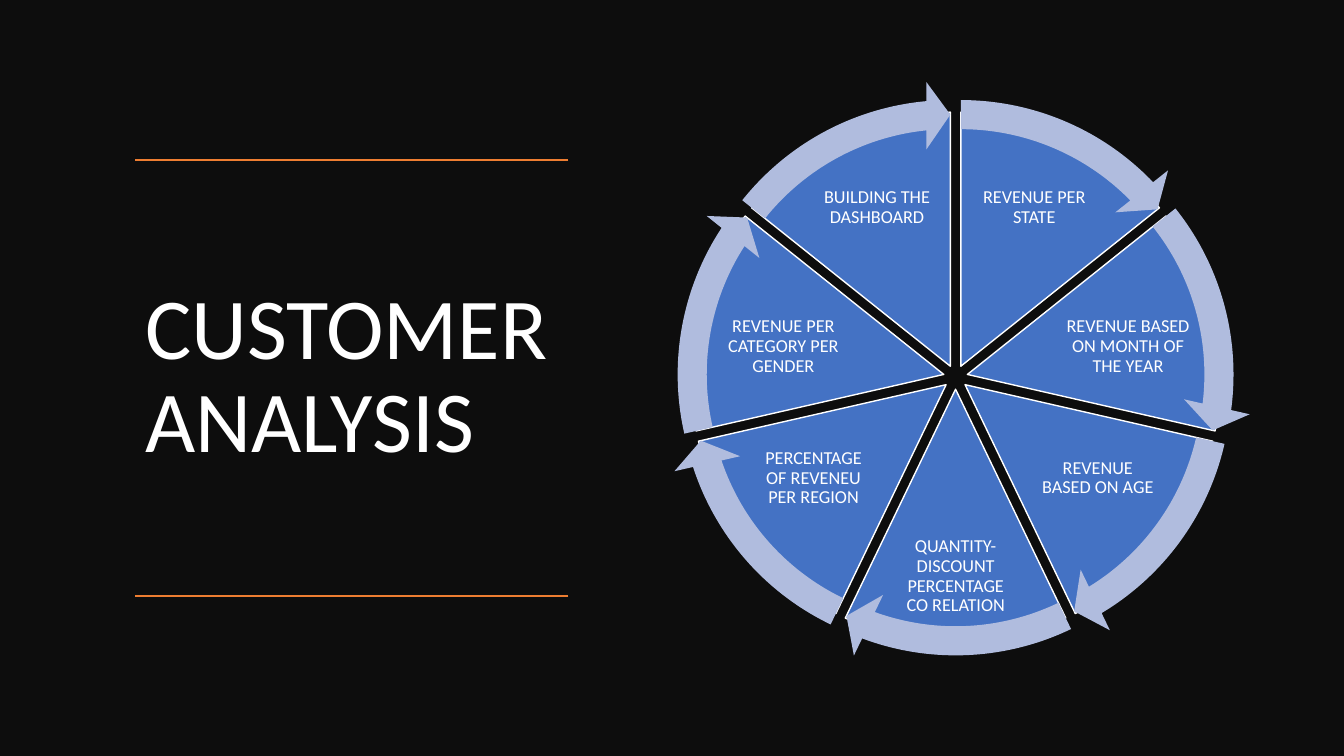
"""Build the customer analysis slide with its seven-part cycle wheel."""
from dataclasses import dataclass
from math import cos, radians, sin

from lxml import etree
from pptx import Presentation
from pptx.dml.color import RGBColor
from pptx.enum.shapes import MSO_CONNECTOR, MSO_SHAPE
from pptx.enum.text import MSO_ANCHOR, MSO_AUTO_SIZE, PP_ALIGN
from pptx.oxml.ns import qn
from pptx.util import Pt

RECTANGLE, PIE, ARROW = MSO_SHAPE.RECTANGLE, MSO_SHAPE.PIE, MSO_SHAPE.CIRCULAR_ARROW
STRAIGHT = MSO_CONNECTOR.STRAIGHT
MIDDLE, NO_FIT = MSO_ANCHOR.MIDDLE, MSO_AUTO_SIZE.NONE
LEFT, CENTER = PP_ALIGN.LEFT, PP_ALIGN.CENTER

TITLE = "CUSTOMER ANALYSIS"
STEPS = [
    "REVENUE PER STATE",
    "REVENUE BASED ON MONTH OF THE YEAR",
    "REVENUE BASED ON AGE",
    "QUANTITY-DISCOUNT PERCENTAGE CO RELATION",
    "PERCENTAGE OF REVENEU PER REGION",
    "REVENUE PER CATEGORY PER GENDER",
    "BUILDING THE DASHBOARD",
]
LABEL_ROWS = [
    {"reach": 56.16, "middle": 148.32, "width": 86.4, "height": 69.12},
    {"reach": 123.12, "middle": 247.68, "width": 99.36, "height": 60.48},
    {"reach": 101.52, "middle": 341.64, "width": 86.4, "height": 66.96},
    {"reach": 0, "middle": 411.84, "width": 84.24, "height": 60.48},
]


@dataclass(frozen=True)
class Theme:
    """Colours and type of the slide."""
    backdrop: str = "0D0D0D"
    text: str = "FFFFFF"
    rule: str = "ED7D31"
    slice: str = "4472C4"
    edge: str = "FFFFFF"
    arrow: str = "B0BCDE"
    font: str = "Calibri"
    title_size: int = 62
    label_size: int = 13


THEME = Theme()
SLIDE_WIDTH, SLIDE_HEIGHT = 960, 540
TITLE_LEFT, TITLE_WIDTH = 96.5, 309.5
TITLE_TOP, TITLE_BOTTOM = 114.2, 425.8
HUB_X, HUB_Y, SPREAD = 682.6, 269.4, 8.64
PIE_SIZE, ARROW_SIZE = 362.9, 407.5
FULL_TURN, TOP_ANGLE = 360, 270
SWEEP = FULL_TURN / len(STEPS)
ANGLE_UNIT = 0.6
ARROW_BAND, ARROW_HEAD, HEAD_DEGREES = 0.051, 0.059, 5.46


def write(shape, text, *, size, align, inset=None):
    """Put formatted text in a shape."""
    frame = shape.text_frame
    frame.word_wrap = True
    frame.auto_size = NO_FIT
    frame.vertical_anchor = MIDDLE
    if inset is not None:
        frame.margin_left = frame.margin_right = Pt(inset)
        frame.margin_top = frame.margin_bottom = Pt(inset)
    para = frame.paragraphs[0]
    para.alignment = align
    para.line_spacing = 0.9
    span = para.add_run()
    span.text = text
    span.font.name = THEME.font
    span.font.size = Pt(size)
    span.font.color.rgb = RGBColor.from_string(THEME.text)


def add_filled(shapes, kind, left, top, width, height, fill, edge=None):
    """Add a flat preset shape."""
    shape = shapes.add_shape(kind, Pt(left), Pt(top), Pt(width), Pt(height))
    shape.shadow.inherit = False
    shape.fill.solid()
    shape.fill.fore_color.rgb = RGBColor.from_string(fill)
    if edge:
        shape.line.color.rgb = RGBColor.from_string(edge)
        shape.line.width = Pt(1)
    else:
        shape.line.fill.background()
    return shape


def add_segment(shapes, kind, index, size, fill, edge=None):
    """Add a wheel part pushed outward along the middle of its slice."""
    bisector = radians(TOP_ANGLE + (index + 0.5) * SWEEP)
    left = HUB_X + SPREAD * cos(bisector) - size / 2
    top = HUB_Y + SPREAD * sin(bisector) - size / 2
    return add_filled(shapes, kind, left, top, size, size, fill, edge)


def set_adjustments(shape, values):
    """Apply the adjustment values in order."""
    for position, value in enumerate(values):
        shape.adjustments[position] = value


def slice_edge(index, back=0):
    """Return the adjustment value where a slice begins, less some degrees."""
    return (TOP_ANGLE + index * SWEEP - back) % FULL_TURN * ANGLE_UNIT


def add_label(shapes, index, text):
    """Add a slice label, mirrored across the hub for the left half."""
    mirrored = len(STEPS) - 1 - index
    row = LABEL_ROWS[min(index, mirrored)]
    side = 1 if index < mirrored else -1
    left = HUB_X + side * row["reach"] - row["width"] / 2
    top = row["middle"] - row["height"] / 2
    box = shapes.add_textbox(Pt(left), Pt(top), Pt(row["width"]), Pt(row["height"]))
    write(box, text, size=THEME.label_size, align=CENTER, inset=1.3)


def add_wheel(page):
    """Add the grouped slices, labels and arrows."""
    shapes = page.shapes.add_group_shape().shapes
    for index, text in enumerate(STEPS):
        wedge = add_segment(shapes, PIE, index, PIE_SIZE, THEME.slice, THEME.edge)
        set_adjustments(wedge, [slice_edge(index), slice_edge(index + 1)])
        add_label(shapes, index, text)
    for index in range(len(STEPS)):
        arrow = add_segment(shapes, ARROW, index, ARROW_SIZE, THEME.arrow)
        set_adjustments(arrow, [
            ARROW_BAND,
            HEAD_DEGREES * ANGLE_UNIT,
            slice_edge(index + 1, HEAD_DEGREES),
            slice_edge(index),
            ARROW_HEAD,
        ])


def add_title(page):
    """Add the backdrop, the title and the rules that frame it."""
    title = page.shapes.title
    backdrop = add_filled(page.shapes, RECTANGLE, 0, 0, SLIDE_WIDTH, SLIDE_HEIGHT,
                          THEME.backdrop)
    title.element.addprevious(backdrop.element)
    title.left, title.top = Pt(TITLE_LEFT), Pt(TITLE_TOP)
    title.width, title.height = Pt(TITLE_WIDTH), Pt(TITLE_BOTTOM - TITLE_TOP)
    write(title, TITLE, size=THEME.title_size, align=LEFT)
    for height in (TITLE_TOP, TITLE_BOTTOM):
        rule = page.shapes.add_connector(
            STRAIGHT, Pt(TITLE_LEFT + TITLE_WIDTH), Pt(height), Pt(TITLE_LEFT), Pt(height))
        rule.line.color.rgb = RGBColor.from_string(THEME.rule)
        rule.line.width = Pt(1)
        etree.SubElement(rule.element.spPr, qn("a:effectLst"))


def main():
    """Create and save the deck."""
    deck = Presentation()
    deck.slide_width, deck.slide_height = Pt(SLIDE_WIDTH), Pt(SLIDE_HEIGHT)
    page = deck.slides.add_slide(deck.slide_layouts[5])
    add_title(page)
    add_wheel(page)
    deck.save("out.pptx")


if __name__ == "__main__":
    main()
